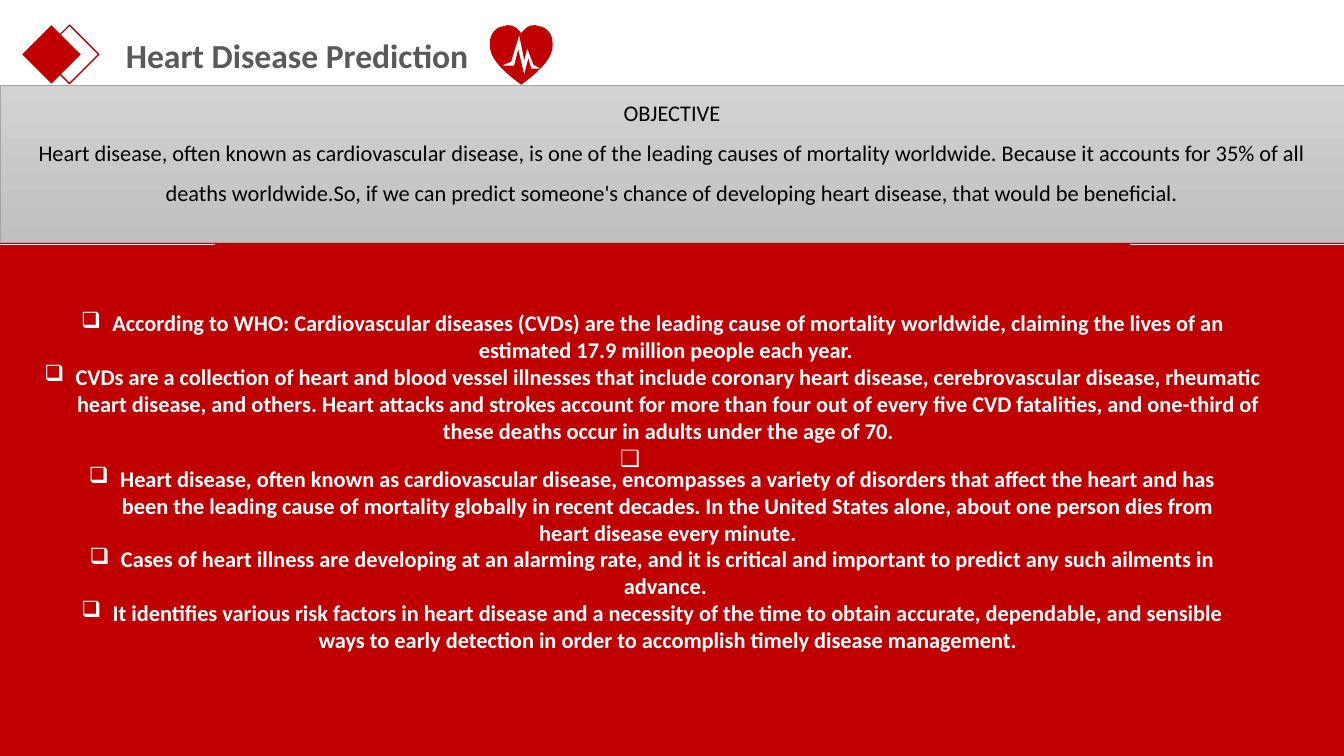
from lxml.etree import SubElement
from pptx import Presentation
from pptx.dml.color import RGBColor
from pptx.enum.shapes import MSO_CONNECTOR, MSO_SHAPE
from pptx.enum.text import MSO_ANCHOR, PP_ALIGN
from pptx.oxml.ns import qn
from pptx.util import Inches, Pt

COLORS = {
    "red": "C00000", "title": "595959", "white": "FFFFFF", "black": "000000",
    "rule": "F2F2F2", "band_top": "D2D2D2", "band_bottom": "C0C0C0", "band_edge": "A5A5A5",
}
WIDTH = 13.33


def color(name):
    return RGBColor.from_string(COLORS[name])


def add_run(paragraph, text, size, color_name, bold=False):
    run = paragraph.add_run()
    run.text = text
    run.font.name = "Calibri"
    run.font.size = Pt(size)
    run.font.bold = bold
    run.font.color.rgb = color(color_name)


prs = Presentation()
prs.slide_width, prs.slide_height = Inches(WIDTH), Inches(7.5)
slide = prs.slides.add_slide(prs.slide_layouts[6])
shapes = slide.shapes

# Overlapping diamonds: one solid, one outlined
for left, solid in [(0.22, True), (0.4, False)]:
    diamond = shapes.add_shape(MSO_SHAPE.DIAMOND, Inches(left), Inches(0.25), Inches(0.58), Inches(0.58))
    diamond.shadow.inherit = False
    if solid:
        diamond.fill.solid()
        diamond.fill.fore_color.rgb = color("red")
        diamond.line.fill.background()
    else:
        diamond.fill.background()
        diamond.line.color.rgb = color("red")
        diamond.line.width = Pt(1)

# Title
title = shapes.add_textbox(Inches(1.15), Inches(0.32), Inches(4.74), Inches(0.45)).text_frame
title.word_wrap = True
title.vertical_anchor = MSO_ANCHOR.MIDDLE
add_run(title.paragraphs[0], "Heart Disease Prediction", 24, "title", True)

# Red panel
panel = shapes.add_shape(MSO_SHAPE.RECTANGLE, 0, Inches(1.08), Inches(WIDTH), Inches(6.42))
panel.shadow.inherit = False
panel.fill.solid()
panel.fill.fore_color.rgb = color("red")
panel.line.fill.background()

# Bulleted facts
facts = [
    ((0.24, 3.02, 12.47, 1.66), MSO_ANCHOR.TOP, [
        "According to WHO: Cardiovascular diseases (CVDs) are the leading cause of mortality worldwide, claiming the lives of an estimated 17.9 million people each year. ",
        "CVDs are a collection of heart and blood vessel illnesses that include coronary heart disease, cerebrovascular disease, rheumatic heart disease, and others. Heart attacks and strokes account for more than four out of every five CVD fatalities, and one-third of these deaths occur in adults under the age of 70.",
        "❑",
    ]),
    ((0.65, 4.17, 11.64, 2.75), MSO_ANCHOR.MIDDLE, [
        "Heart disease, often known as cardiovascular disease, encompasses a variety of disorders that affect the heart and has been the leading cause of mortality globally in recent decades. In the United States alone, about one person dies from heart disease every minute.",
        "Cases of heart illness are developing at an alarming rate, and it is critical and important to predict any such ailments in advance. ",
        "It identifies various risk factors in heart disease and a necessity of the time to obtain accurate, dependable, and sensible ways to early detection in order to accomplish timely disease management.",
    ]),
]
for place, anchor, items in facts:
    frame = shapes.add_textbox(*map(Inches, place)).text_frame
    frame.word_wrap = True
    frame.vertical_anchor = anchor
    for i, item in enumerate(items):
        fact = frame.paragraphs[0] if i == 0 else frame.add_paragraph()
        fact.alignment = PP_ALIGN.CENTER
        props = fact._p.get_or_add_pPr()
        lone_mark = item == "❑"
        if lone_mark:
            props.set("marR", str(Inches(0.45)))
        else:
            props.set("marL", str(Inches(0.31)))
            props.set("indent", str(Inches(-0.31)))
            SubElement(props, qn("a:buChar")).set("char", "❑")
        add_run(fact, item, 16, "white", not lone_mark)

# Short rules at both edges
for start, end in [(0, 2.13), (11.21, WIDTH)]:
    rule = shapes.add_connector(MSO_CONNECTOR.STRAIGHT, Inches(start), Inches(2.42), Inches(end), Inches(2.42))
    rule.line.color.rgb = color("rule")
    rule.line.width = Pt(0.5)
    SubElement(rule._element.spPr, qn("a:effectLst"))

# Heart: left half from Bezier curves, right half mirrored, pulse cut out
AXIS = 5.17
curves = [
    [(5.17, 0.84), (4.95, 0.68), (4.86, 0.56), (4.86, 0.46)],
    [(4.86, 0.42), (4.86, 0.32), (4.94, 0.26), (5.0, 0.26)],
    [(5.03, 0.25), (5.1, 0.25), (5.13, 0.28), (5.17, 0.33)],
]
STEPS = 10
left_half = []
for curve in curves:
    for step in range(STEPS + 1):
        t = step / STEPS
        weights = [(1 - t) ** 3, 3 * t * (1 - t) ** 2, 3 * t * t * (1 - t), t ** 3]
        left_half.append(tuple(sum(w * point[axis] for w, point in zip(weights, curve)) for axis in (0, 1)))
right_half = [(2 * AXIS - x, y) for x, y in reversed(left_half)]
pulse = [
    (5.29, 0.64), (5.23, 0.48), (5.2, 0.6), (5.15, 0.35), (5.07, 0.61), (4.98, 0.65),
    (5.1, 0.65), (5.14, 0.49), (5.2, 0.74), (5.24, 0.58), (5.27, 0.68), (5.36, 0.68),
]
outline, cutout = [[(Inches(x), Inches(y)) for x, y in points] for points in (left_half + right_half, pulse)]
builder = shapes.build_freeform(*outline[0])
builder.add_line_segments(outline[1:], close=True)
builder.move_to(*cutout[0])
builder.add_line_segments(cutout[1:], close=True)
heart = builder.convert_to_shape()
heart.shadow.inherit = False
heart.fill.solid()
heart.fill.fore_color.rgb = color("red")
heart.line.fill.background()

# Objective band
band = shapes.add_shape(MSO_SHAPE.RECTANGLE, 0, Inches(0.85), Inches(WIDTH), Inches(1.56))
band.shadow.inherit = False
band.fill.gradient()
band.fill.gradient_angle = 270
for stop, name in zip(band.fill.gradient_stops, ("band_top", "band_bottom")):
    stop.color.rgb = color(name)
band.line.color.rgb = color("band_edge")
band.line.width = Pt(0.5)
objective = band.text_frame
objective.word_wrap = True
objective.vertical_anchor = MSO_ANCHOR.TOP
objective.margin_top = 0
objective_lines = [
    "OBJECTIVE",
    "Heart disease, often known as cardiovascular disease, is one of the leading causes of mortality worldwide. Because it accounts for 35% of all deaths worldwide.So, if we can predict someone's chance of developing heart disease, that would be beneficial.",
]
for i, text in enumerate(objective_lines):
    line = objective.paragraphs[0] if i == 0 else objective.add_paragraph()
    line.alignment = PP_ALIGN.CENTER
    line.line_spacing = 1.5
    add_run(line, text, 16, "black")

prs.save("out.pptx")
